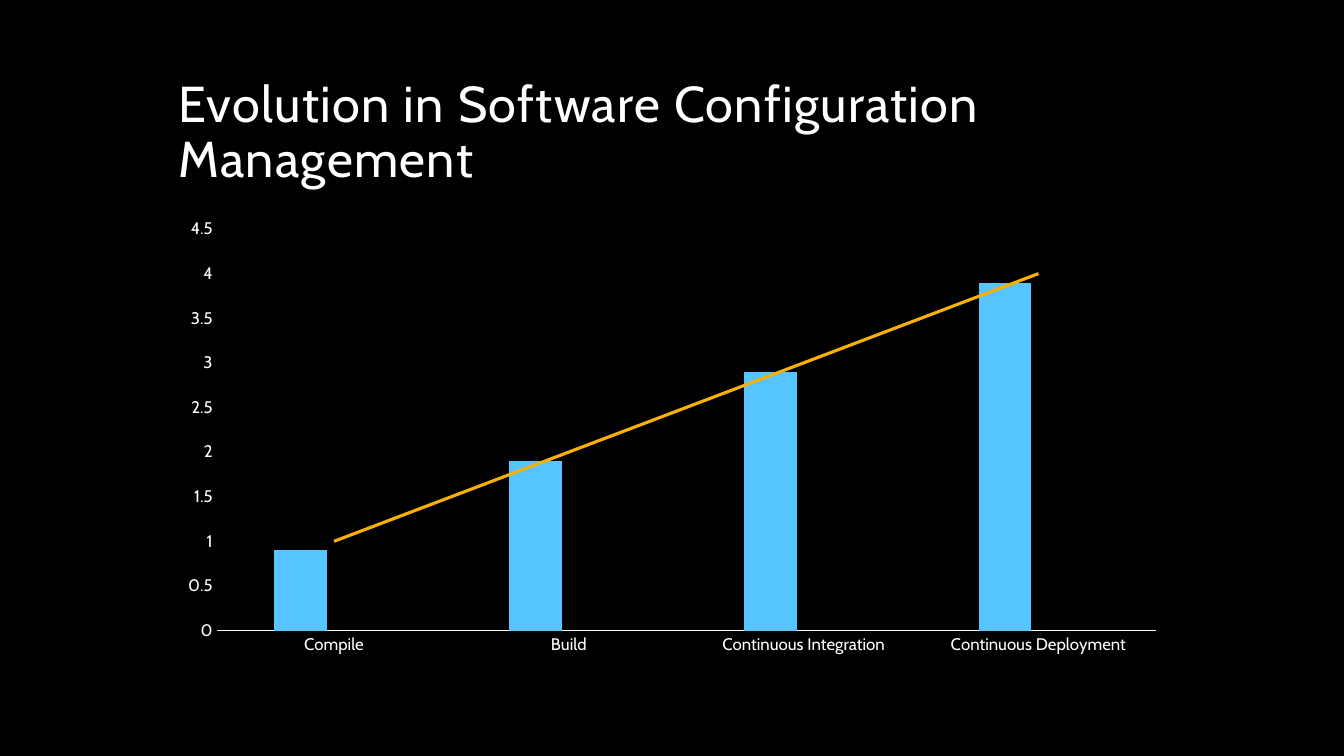
from dataclasses import dataclass

from lxml.etree import SubElement
from pptx import Presentation
from pptx.chart.data import CategoryChartData
from pptx.dml.color import RGBColor
from pptx.enum.chart import XL_CHART_TYPE as Chart, XL_MARKER_STYLE as Marker, XL_TICK_MARK as Tick
from pptx.enum.text import MSO_ANCHOR as Anchor, MSO_AUTO_SIZE as AutoSize, PP_ALIGN as Align
from pptx.oxml.ns import qn
from pptx.util import Inches, Pt


@dataclass(frozen=True)
class Theme:
    font: str = "Cabin"
    back: str = "000000"
    ink: str = "FFFFFF"
    bars: tuple = ("56C5FF", "4BB836")
    trend: str = "F8B004"
    title_size: float = 36
    axis_size: float = 12
    chart_size: float = 10


def rgb(value):
    return RGBColor.from_string(value)


def style_font(font, theme, size):
    font.name, font.size = theme.font, Pt(size)
    font.color.rgb = rgb(theme.ink)


def write(tf, text, theme, size, spacing=0, line=1.0, align=Align.LEFT):
    p = tf.paragraphs[0]
    p.alignment, p.line_spacing = align, line
    r = p.add_run()
    r.text = text
    style_font(r.font, theme, size)
    r._r.get_or_add_rPr().set("spc", str(int(spacing * 100)))


class Deck:
    """Hold the theme and the current slide, and place elements on a 24 by 18 grid."""

    def __init__(self, theme):
        self.theme = theme
        self.prs = Presentation()
        self.prs.slide_width, self.prs.slide_height = Inches(13.33), Inches(7.5)

    def box(self, col, row, cols, rows):
        dx, dy = self.prs.slide_width / 24, self.prs.slide_height / 18
        return [int(n) for n in (col * dx, row * dy, cols * dx, rows * dy)]

    def slide(self):
        self.s = self.prs.slides.add_slide(self.prs.slide_layouts[5])
        fill = self.s.background.fill
        fill.solid()
        fill.fore_color.rgb = rgb(self.theme.back)

    def title(self, text, *cell):
        sp = self.s.shapes.title
        sp.left, sp.top, sp.width, sp.height = self.box(*cell)
        tf = sp.text_frame
        tf.word_wrap, tf.auto_size = True, AutoSize.NONE
        tf.vertical_anchor = Anchor.BOTTOM
        write(tf, text, self.theme, self.theme.title_size, spacing=1, line=0.9)

    def combo_chart(self, categories, series, *cell):
        data = CategoryChartData()
        data.categories = categories
        for name, values in series.items():
            data.add_series(name, values)
        frame = self.s.shapes.add_chart(Chart.COLUMN_CLUSTERED, *self.box(*cell), data)
        chart = frame.chart
        chart.has_legend = chart.has_title = False
        style_font(chart.font, self.theme, self.theme.chart_size)
        self.last_series_to_line(chart)
        bars, trend = chart.plots
        bars.gap_width, bars.overlap, bars.vary_by_categories = 219, -27, False
        for bar, color in zip(bars.series, self.theme.bars):
            bar.format.fill.solid()
            bar.format.fill.fore_color.rgb = rgb(color)
        line = trend.series[0]
        line.smooth, line.marker.style = False, Marker.NONE
        line.format.line.width = Pt(2.25)
        line.format.line.color.rgb = rgb(self.theme.trend)
        self.axes(chart)

    def last_series_to_line(self, chart):
        bar = chart.plots[0]._element
        ser = bar.findall(qn("c:ser"))[-1]
        for invert in ser.findall(qn("c:invertIfNegative")):
            ser.remove(invert)
        line = bar.makeelement(qn("c:lineChart"))
        SubElement(line, qn("c:grouping")).set("val", "standard")
        SubElement(line, qn("c:varyColors")).set("val", "0")
        line.append(ser)
        SubElement(line, qn("c:marker")).set("val", "1")
        for axis in bar.findall(qn("c:axId")):
            SubElement(line, qn("c:axId")).set("val", axis.get("val"))
        bar.addnext(line)

    def axes(self, chart):
        cat, val = chart.category_axis, chart.value_axis
        for axis in (cat, val):
            axis.has_major_gridlines = False
            axis.major_tick_mark = axis.minor_tick_mark = Tick.NONE
            style_font(axis.tick_labels.font, self.theme, self.theme.axis_size)
        cat.format.line.width = Pt(0.75)
        cat.format.line.color.rgb = rgb(self.theme.ink)
        val.format.line.fill.background()
        val.minimum_scale, val.maximum_scale, val.major_unit = 0, 4.5, 0.5


def main():
    deck = Deck(Theme())
    deck.slide()
    deck.title("Evolution in Software Configuration Management", 3, 1, 18, 3.6)
    deck.combo_chart(
        ["Compile", "Build", "Continuous Integration", "Continuous Deployment"],
        {
            "Series 1": (0.9, 1.9, 2.9, 3.9),
            "Series 2": (None,) * 4,
            "Series 3": (1, 2, 3, 4),
        },
        3, 5, 18, 10.8,
    )
    deck.prs.save("out.pptx")


if __name__ == "__main__":
    main()
